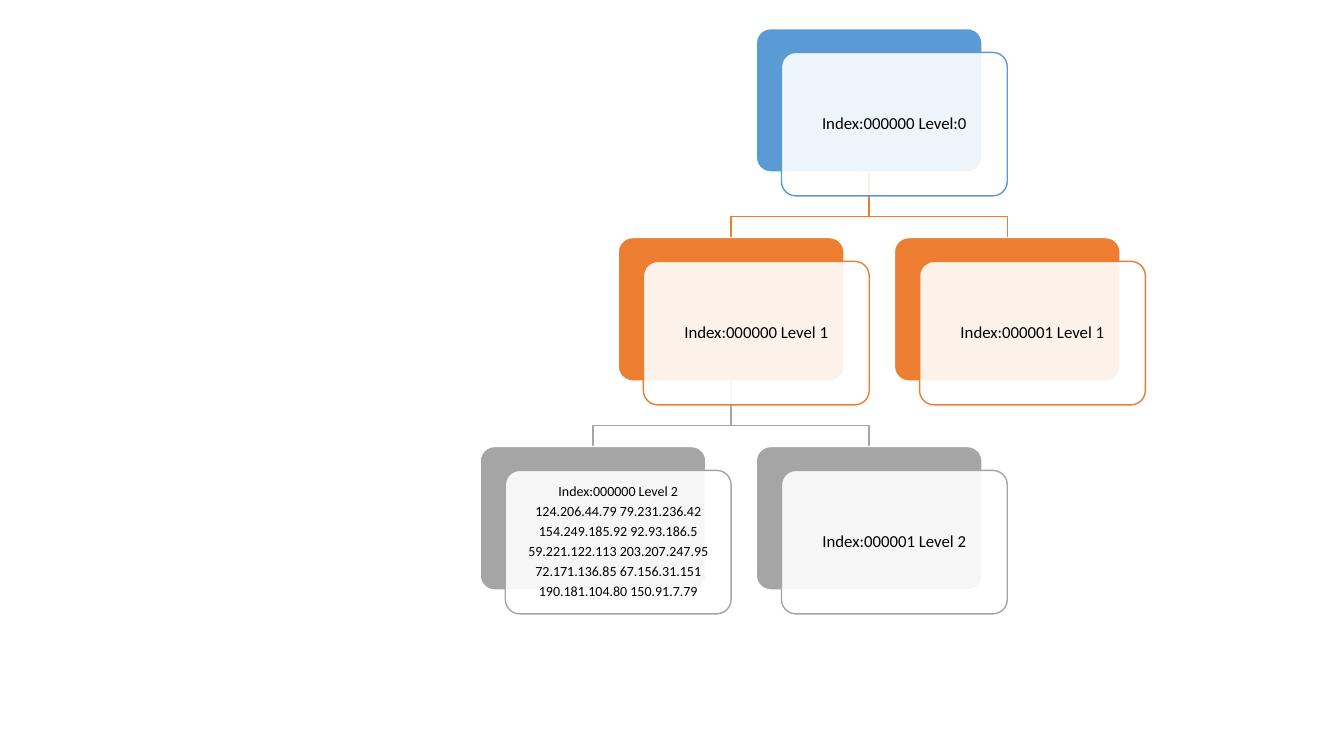
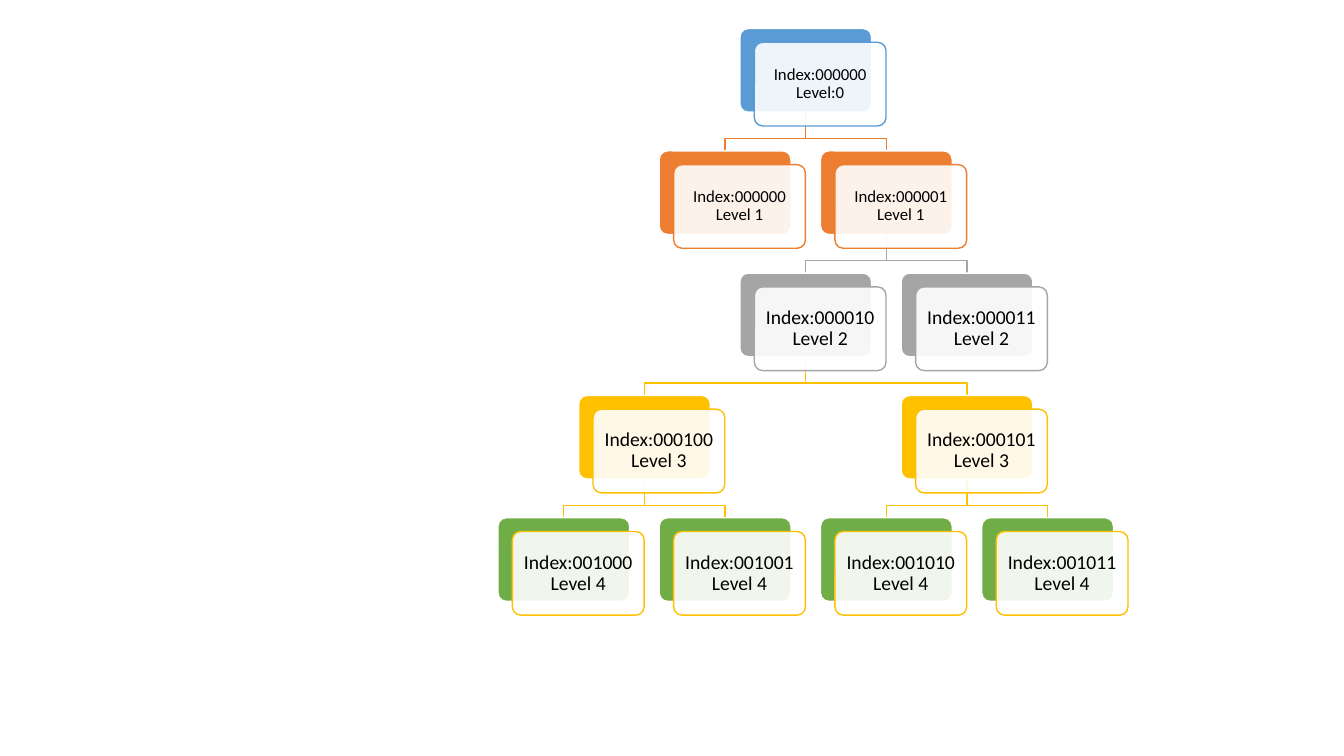
from dataclasses import dataclass
from typing import Iterator

from lxml.etree import SubElement
from pptx import Presentation
from pptx.dml.color import RGBColor
from pptx.enum.shapes import MSO_SHAPE
from pptx.enum.text import MSO_ANCHOR, PP_ALIGN
from pptx.oxml.ns import qn
from pptx.shapes.autoshape import Shape
from pptx.shapes.shapetree import GroupShapes
from pptx.util import Emu, Pt

PX = 3048  # EMU in one px, 300 px to the inch
SLIDE_WIDTH, SLIDE_HEIGHT = 4000, 2250
BLANK_LAYOUT = 6
FONT = "Calibri"
CORNER = 0.1
ELBOW = 0.68  # share of the gap between rows above the horizontal branch
COLORS = {
    "white": "FFFFFF",
    "black": "000000",
    "blue": "5B9BD5",
    "orange": "ED7D31",
    "gray": "A5A5A5",
    "gold": "FFC000",
    "green": "70AD47",
}


@dataclass(frozen=True)
class Level:
    back: str
    outline: str


LEVELS = (
    Level("blue", "blue"),
    Level("orange", "orange"),
    Level("gray", "gray"),
    Level("gold", "gold"),
    Level("green", "gold"),
)


@dataclass(frozen=True)
class Node:
    lines: tuple[str, ...]
    column: int
    size: int = 12
    children: tuple["Node", ...] = ()


@dataclass(frozen=True)
class Grid:
    left: int
    top: int
    column_step: int
    row_step: int
    card_width: int
    card_height: int
    shift_x: int
    shift_y: int

    def corner(self, column: int, level: int) -> tuple[int, int]:
        return self.left + column * self.column_step, self.top + level * self.row_step


@dataclass(frozen=True)
class Tree:
    grid: Grid
    root: Node


def index_node(index: str, level: int, column: int, size: int, *children: Node) -> Node:
    return Node((f"Index:{index} Level {level}",), column, size, children)


ADDRESS_LEAF = Node(
    (
        "Index:000000 Level 2",
        "124.206.44.79 79.231.236.42",
        "154.249.185.92 92.93.186.5",
        "59.221.122.113 203.207.247.95",
        "72.171.136.85 67.156.31.151",
        "190.181.104.80 150.91.7.79",
    ),
    column=0,
    size=10,
)
ROOT_LINES = ("Index:000000 Level:0",)

TREES = (
    Tree(
        Grid(1429, 85, 411, 622, 672, 427, 75, 71),
        Node(ROOT_LINES, 2, children=(
            index_node("000000", 1, 1, 12,
                       ADDRESS_LEAF,
                       index_node("000001", 2, 2, 12)),
            index_node("000001", 1, 3, 12),
        )),
    ),
    Tree(
        Grid(1482, 85, 240, 364, 392, 249, 43, 41),
        Node(ROOT_LINES, 3, children=(
            index_node("000000", 1, 2, 12),
            index_node("000001", 1, 4, 12,
                       index_node("000010", 2, 3, 14,
                                  index_node("000100", 3, 1, 14,
                                             index_node("001000", 4, 0, 14),
                                             index_node("001001", 4, 2, 14)),
                                  index_node("000101", 3, 5, 14,
                                             index_node("001010", 4, 4, 14),
                                             index_node("001011", 4, 6, 14))),
                       index_node("000011", 2, 5, 14)),
        )),
    ),
)


def rgb(name: str) -> RGBColor:
    return RGBColor.from_string(COLORS[name])


def walk(node: Node, level: int = 0) -> Iterator[tuple[Node, int]]:
    """Yield each node with its level, parents before children."""
    yield node, level
    for child in node.children:
        yield from walk(child, level + 1)


def set_line(shape: Shape, color: str) -> None:
    shape.shadow.inherit = False
    shape.line.color.rgb = rgb(color)
    shape.line.width = Pt(1)


def add_branch(shapes: GroupShapes, grid: Grid, parent: Node, child: Node, level: int) -> None:
    """Draw the elbow line from a parent on the given level down to its child."""
    parent_left, parent_top = grid.corner(parent.column, level)
    child_left, child_top = grid.corner(child.column, level + 1)
    start_x = parent_left + grid.card_width // 2
    end_x = child_left + grid.card_width // 2
    start_y = parent_top + grid.card_height
    elbow_y = start_y + round(ELBOW * (child_top - start_y))
    builder = shapes.build_freeform(start_x, start_y, scale=PX)
    builder.add_line_segments(
        [(start_x, elbow_y), (end_x, elbow_y), (end_x, child_top)], close=False
    )
    branch = builder.convert_to_shape()
    branch.fill.background()
    set_line(branch, LEVELS[level + 1].outline)


def add_card(shapes: GroupShapes, grid: Grid, left: int, top: int, fill: str, line: str) -> Shape:
    bounds = (left, top, grid.card_width, grid.card_height)
    card = shapes.add_shape(MSO_SHAPE.ROUNDED_RECTANGLE, *(Emu(v * PX) for v in bounds))
    card.adjustments[0] = CORNER
    card.fill.solid()
    card.fill.fore_color.rgb = rgb(fill)
    set_line(card, line)
    return card


def set_opacity(shape: Shape, percent: int) -> None:
    color = shape.fill._xPr.find(qn("a:solidFill"))[0]
    SubElement(color, qn("a:alpha"), val=str(percent * 1000))


def write_lines(card: Shape, lines: tuple[str, ...], size: int) -> None:
    frame = card.text_frame
    frame.word_wrap = True
    frame.vertical_anchor = MSO_ANCHOR.MIDDLE
    inset = Pt(size * 0.3)
    frame.margin_left = frame.margin_right = inset
    frame.margin_top = frame.margin_bottom = inset
    frame.text = "\n".join(lines)
    for para in frame.paragraphs:
        para.alignment = PP_ALIGN.CENTER
        para.line_spacing = 0.9
        para.space_after = Pt(size * 0.35)
        para.font.name = FONT
        para.font.size = Pt(size)
        para.font.color.rgb = rgb("black")


def add_node(shapes: GroupShapes, grid: Grid, node: Node, level: int) -> None:
    """Draw a coloured back card and the translucent text card over it."""
    left, top = grid.corner(node.column, level)
    style = LEVELS[level]
    add_card(shapes, grid, left, top, style.back, "white")
    front = add_card(
        shapes, grid, left + grid.shift_x, top + grid.shift_y, "white", style.outline
    )
    set_opacity(front, 90)
    write_lines(front, node.lines, node.size)


def add_tree(shapes: GroupShapes, tree: Tree) -> None:
    for node, level in walk(tree.root):
        for child in node.children:
            add_branch(shapes, tree.grid, node, child, level)
    for node, level in walk(tree.root):
        add_node(shapes, tree.grid, node, level)


def main() -> None:
    deck = Presentation()
    deck.slide_width = Emu(SLIDE_WIDTH * PX)
    deck.slide_height = Emu(SLIDE_HEIGHT * PX)
    for tree in TREES:
        page = deck.slides.add_slide(deck.slide_layouts[BLANK_LAYOUT])
        add_tree(page.shapes.add_group_shape().shapes, tree)
    deck.save("out.pptx")


if __name__ == "__main__":
    main()
